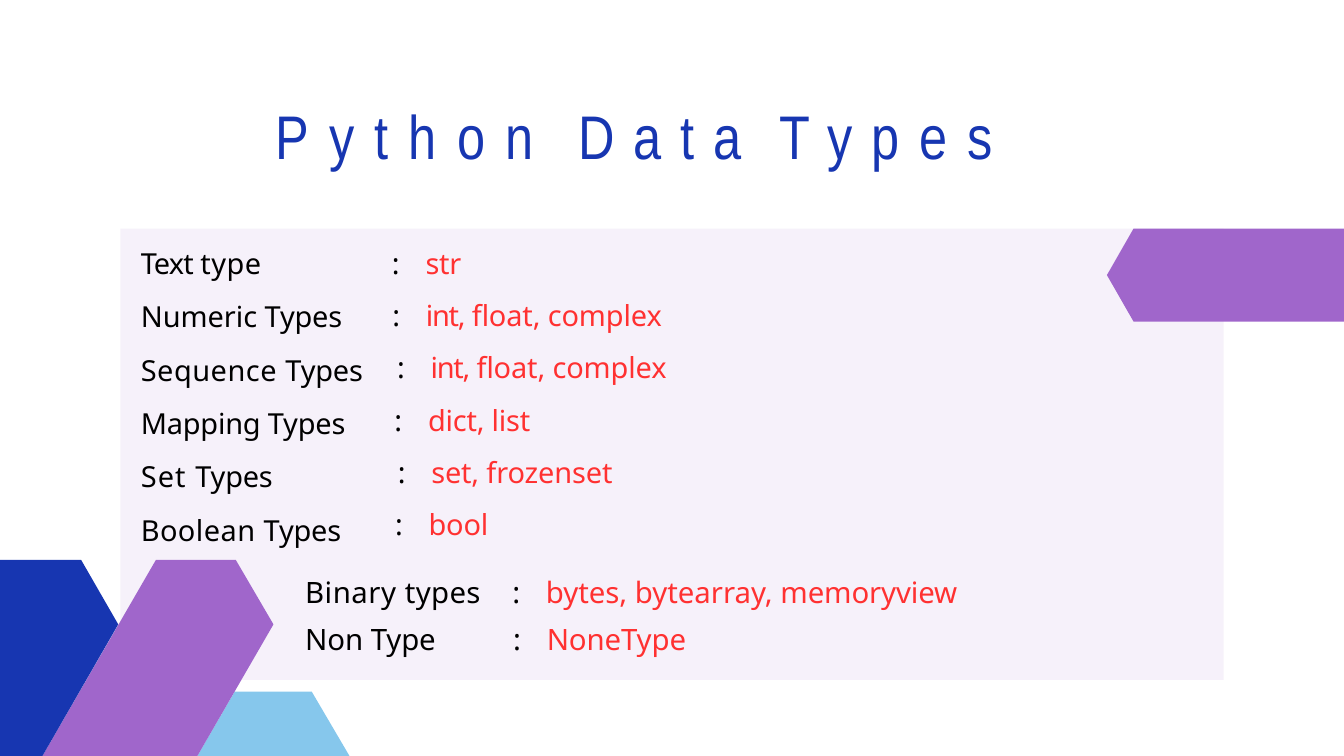
from lxml.etree import SubElement
from pptx import Presentation
from pptx.dml.color import RGBColor
from pptx.oxml.ns import qn
from pptx.util import Pt

BLUE, PURPLE, SKY = "1736B1", "A066CB", "86C7EC"
BLACK, RED = "000000", "FF3131"


def set_color(color_format, color):
    color_format.rgb = RGBColor.from_string(color)


def add_polygon(slide, left, top, points, color, opacity=None):
    """Draw a filled outline whose points are relative to left and top."""
    corners = [(Pt(left + x), Pt(top + y)) for x, y in points]
    builder = slide.shapes.build_freeform(*corners[0], scale=1.0)
    builder.add_line_segments(corners[1:], close=True)
    shape = builder.convert_to_shape()
    shape.shadow.inherit = False
    shape.line.fill.background()
    shape.fill.solid()
    set_color(shape.fill.fore_color, color)
    if opacity is not None:
        color_element = shape.fill._xPr.find(".//" + qn("a:srgbClr"))
        SubElement(color_element, qn("a:alpha"), val=str(opacity * 1000))


def add_text_frame(slide, left, top, width, height, inset_top):
    text_box = slide.shapes.add_textbox(Pt(left), Pt(top), Pt(width), Pt(height))
    frame = text_box.text_frame
    frame.word_wrap = True
    frame.margin_left = frame.margin_right = frame.margin_bottom = 0
    frame.margin_top = Pt(inset_top)
    return frame


def add_paragraph(frame, index, runs, size, font="Noto Sans", indent=0.9,
                  before=1, line_spacing=None, tabs=()):
    """Write one paragraph; each run is (text, colour, letter spacing)."""
    paragraph = frame.add_paragraph() if index else frame.paragraphs[0]
    paragraph.space_before = Pt(before)
    if line_spacing:
        paragraph.line_spacing = line_spacing
    properties = paragraph._p.get_or_add_pPr()
    properties.set("marL", str(Pt(indent)))
    properties.set("indent", "0")
    if tabs:
        tab_list = SubElement(properties, qn("a:tabLst"))
        for tab in tabs:
            SubElement(tab_list, qn("a:tab"), pos=str(Pt(tab)), algn="l")
    for text, color, spacing in runs:
        run = paragraph.add_run()
        run.text = text
        run.font.name = font
        run.font.size = Pt(size)
        set_color(run.font.color, color)
        run.font._element.set("spc", str(round(spacing * 100)))


def add_panel(slide, left, top, width, height):
    corners = [(0, 0), (width, 0), (width, height), (0, height)]
    add_polygon(slide, left, top, corners, PURPLE, opacity=9)


def add_corner_ribbons(slide, left, top):
    ribbons = [
        (SKY, [(211.5, 210), (374.5, 210), (334, 141), (251.5, 141)]),
        (PURPLE, [(45.5, 210), (211.5, 210), (293, 69), (252.7, 0), (167, 0)]),
        (BLUE, [(0, 210), (45.5, 210), (126.7, 69), (87, 0), (0, 0)]),
    ]
    for color, points in ribbons:
        add_polygon(slide, left, top, points, color)


def add_side_tag(slide, left, top, width, height):
    points = [(28.5, 0), (width, 0), (width, height), (28.5, height), (0, height / 2)]
    add_polygon(slide, left, top, points, PURPLE)


def add_labels(slide, box, labels, size, line_spacing, inset_top):
    frame = add_text_frame(slide, *box, inset_top)
    for index, words in enumerate(labels):
        runs = [(text, BLACK, spacing) for text, spacing in words]
        add_paragraph(frame, index, runs, size, line_spacing=line_spacing)


def add_values(slide, box, values, size, before, inset_top):
    """Write a colon, a tab and the red value on each line."""
    frame = add_text_frame(slide, *box, inset_top)
    for index, (indent, words) in enumerate(values):
        runs = [(":\t", BLACK, -0.5)]
        runs += [(text, RED, spacing) for text, spacing in words]
        add_paragraph(frame, index, runs, size, indent=indent, before=before,
                      tabs=[indent + 31])


def add_title(slide, left, top, width, height):
    frame = add_text_frame(slide, left, top, width, height, 1)
    runs = [("Python\t", BLUE, 21.6), ("Data\t", BLUE, 20.4), ("Types", BLUE, 20.9)]
    add_paragraph(frame, 0, runs, 66, font="Arial Narrow", tabs=[347.8, 583.9])


presentation = Presentation()
presentation.slide_width, presentation.slide_height = Pt(1440), Pt(810)
slide = presentation.slides.add_slide(presentation.slide_layouts[6])

# Background shapes
add_panel(slide, 129, 245, 1182, 483.5)
add_corner_ribbons(slide, 0, 600)
add_side_tag(slide, 1186, 245, 254, 99.5)

# Lower block
add_labels(slide, (326, 602, 193, 102), [
    [("Binary ", 0.6), ("types", 0.4)],
    [("Non ", 0), ("Type", -0.2)],
], 31.5, 1.32, 1)
add_values(slide, (548, 602, 495, 102), [
    (0.9, [("bytes, bytearray, ", 0), ("memoryview", -0.1)]),
    (1.9, [("NoneType", -0.1)]),
], 31.5, 12.3, 13)

# Main block
add_labels(slide, (150, 242.6, 246, 339), [
    [("Text ", -0.9), ("type", 0.6)],
    [("Numeric ", 0), ("Types", -0.2)],
    [("Sequence ", 0.6), ("Types", -0.2)],
    [("Mapping Types", -0.2)],
    [("Set ", 1.2), ("Types", -0.2)],
    [("Boolean ", 0.5), ("Types", -0.2)],
], 31, 1.51, 1.5)
numbers = [("int, ", -1.4), ("float, complex", -0.1)]
add_values(slide, (419, 242.6, 311, 339), [
    (0.9, [("str", -0.2)]),
    (1.4, numbers),
    (6.5, numbers),
    (3.6, [("dict, list", -0.2)]),
    (7.2, [("set, ", -0.2), ("frozenset", -0.1)]),
    (4.3, [("bool", -0.2)]),
], 31, 18.9, 20)

# Title
add_title(slide, 294.5, 104.4, 851, 80.6)

presentation.save("out.pptx")
